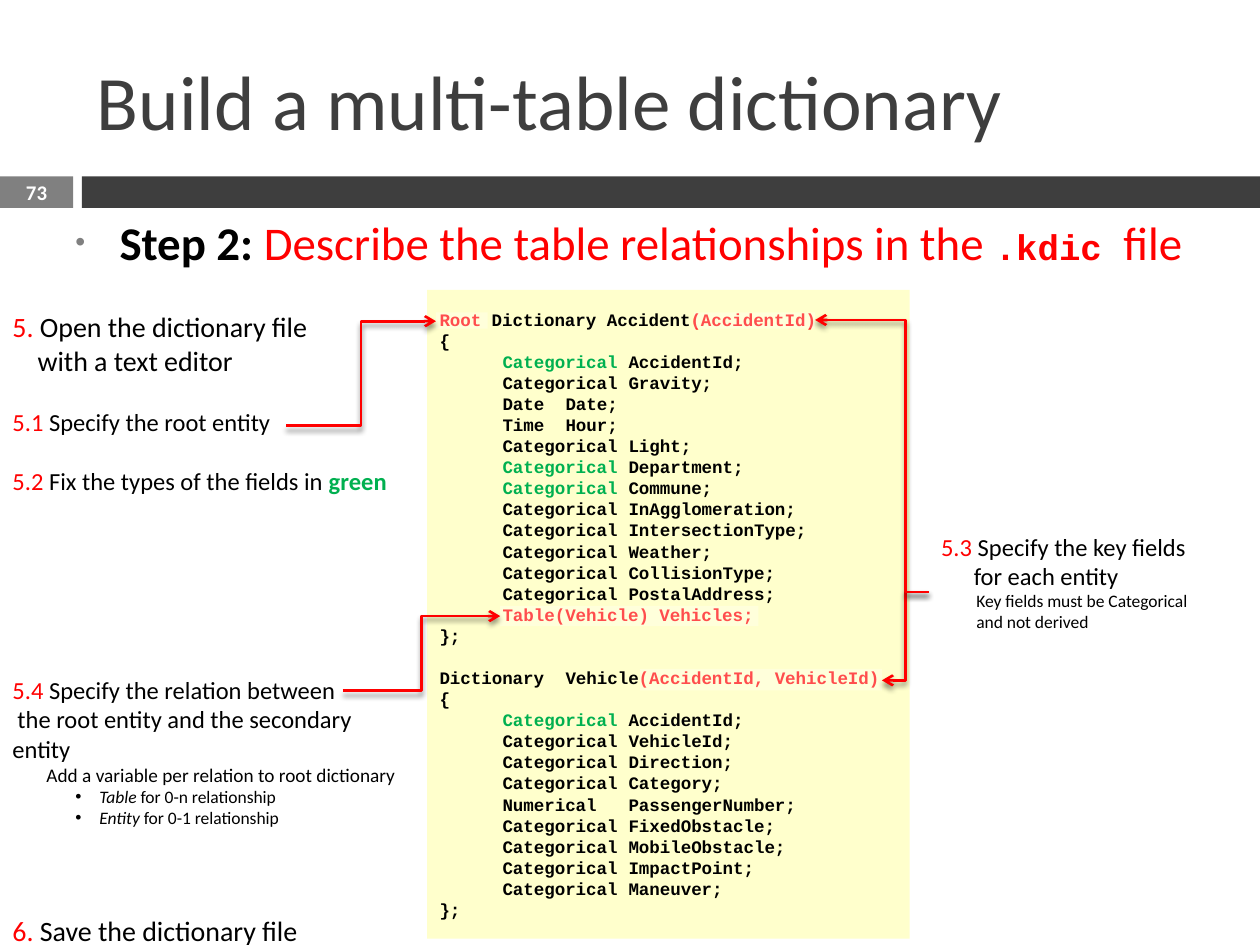
"""Build the slide that explains how to write a multi-table dictionary."""
from lxml import etree
from pptx import Presentation
from pptx import util as u
from pptx.dml.color import RGBColor
from pptx.enum import shapes, text
from pptx.oxml import parse_xml
from pptx.oxml.ns import nsdecls, qn

PX = 9144
HUE = {"red": "FF0000", "green": "00B050", "black": "000000", "grey": "808080",
       "dark": "3E3E3E", "white": "FFFFFF", "cream": "FFFFCC"}


def put(frame, runs, size, face="Calibri", left=0, first=0, gap=0, line=None,
        align=text.PP_ALIGN.LEFT, dot=None, tabs=()):
    para = frame.paragraphs[-1]
    if para.runs:
        para = frame.add_paragraph()
    para.alignment = align
    if gap:
        para.space_before = u.Pt(gap)
    if line:
        para.line_spacing = u.Pt(line)
    prop = para._p.get_or_add_pPr()
    prop.set("marL", str(left * PX))
    prop.set("indent", str(first * PX))
    if dot:
        tone, part = dot
        clr = etree.SubElement(prop, qn("a:buClr"))
        etree.SubElement(clr, qn("a:srgbClr"), val=HUE[tone])
        etree.SubElement(prop, qn("a:buSzPct"), val=str(part * 1000))
        etree.SubElement(prop, qn("a:buFont"), typeface="Arial")
        etree.SubElement(prop, qn("a:buChar"), char="•")
    if tabs:
        stops = etree.SubElement(prop, qn("a:tabLst"))
        for stop in tabs:
            etree.SubElement(stops, qn("a:tab"), pos=str(stop * PX), algn="l")
    for words, tone, *style in runs:
        run = para.add_run()
        run.text = words
        font = run.font
        font.name, font.size = face, u.Pt(size)
        font.color.rgb = RGBColor.from_string(HUE[tone])
        font.bold, font.italic = "b" in style, "i" in style
        if "code" in style:
            font.name, font.size = "Courier New", u.Pt(20.4)


def rect(place, tone):
    area = slide.shapes.add_shape(shapes.MSO_SHAPE.RECTANGLE, *[n * PX for n in place])
    area.shadow.inherit = False
    area.line.fill.background()
    area.fill.solid()
    area.fill.fore_color.rgb = RGBColor.from_string(HUE[tone])
    return area


deck = Presentation()
deck.slide_width, deck.slide_height = 1000 * PX, 750 * PX
slide = deck.slides.add_slide(deck.slide_layouts[6])

rect((0, 140, 58, 25), "grey")
rect((65, 140, 935, 25), "dark")
panel = rect((339, 230, 383, 515), "cream")

top, mid = text.MSO_ANCHOR.TOP, text.MSO_ANCHOR.MIDDLE
frames = {}
for name, place, anchor in [
    ("title", (67, 25, 892, 108), mid),
    ("page", (0, 139, 58, 27), mid),
    ("step", (50, 165, 939, 60), top),
    ("tasks", (0, 241, 339, 512), top),
    ("keys", (737, 417, 252, 104), top),
]:
    frame = slide.shapes.add_textbox(*[n * PX for n in place]).text_frame
    frame.word_wrap = True
    frame.vertical_anchor = anchor
    frames[name] = frame

put(frames["title"], [("Build a multi-table dictionary", "dark")], 44)
put(frames["page"], [("73", "white", "b")], 11.9, align=text.PP_ALIGN.CENTER)
put(frames["step"], [
    ("Step 2: ", "black", "b"),
    ("Describe the table relationships in the ", "red"),
    (".kdic ", "red", "b", "code"),
    ("file", "red"),
], 26.8, left=35, first=-35, dot=("grey", 60))

tasks = frames["tasks"]
put(tasks, [("5.", "red"), (" Open the dictionary file", "black")], 16)
put(tasks, [("with a text editor", "black")], 16, left=20)
put(tasks, [("5.1 ", "red"), ("Specify the root entity", "black")], 14, gap=17)
put(tasks, [("5.2", "red"), (" Fix the types of the fields in ", "black"),
            ("green", "green", "b")], 14, gap=17)
put(tasks, [("5.4 ", "red"), ("Specify the relation between", "black")], 14, gap=102.5)
put(tasks, [("the root entity and the secondary entity", "black")], 14, first=4)
put(tasks, [("Add a variable per relation to root dictionary", "black")], 11, left=27)
for kind, count in [("Table", "0-n"), ("Entity", "0-1")]:
    put(tasks, [(kind, "black", "i"), (f" for {count} relationship", "black")], 10,
        left=69, first=-19, dot=("black", 100))
put(tasks, [("6.", "red"), (" Save the dictionary file", "black")], 16, gap=49)

keys = frames["keys"]
put(keys, [("5.3 ", "red"), ("Specify the key fields", "black")], 14)
put(keys, [("for each entity", "black")], 14, left=26)
for words in ["Key fields must be Categorical", "and not derived"]:
    put(keys, [(words, "black")], 10, left=28)

tables = [
    ([("Root", "red", "b"), (" Dictionary Accident", "black", "b"),
      ("(AccidentId)", "red", "b")],
     ["Categorical AccidentId", "Categorical Gravity", "Date Date", "Time Hour",
      "Categorical Light", "Categorical Department", "Categorical Commune",
      "Categorical InAgglomeration", "Categorical IntersectionType",
      "Categorical Weather", "Categorical CollisionType", "Categorical PostalAddress"],
     [[("\tTable(Vehicle) Vehicles;", "red", "b")]]),
    ([("Dictionary\tVehicle", "black", "b"), ("(AccidentId, VehicleId)", "red", "b")],
     ["Categorical AccidentId", "Categorical VehicleId", "Categorical Direction",
      "Categorical Category", "Numerical PassengerNumber", "Categorical FixedObstacle",
      "Categorical MobileObstacle", "Categorical ImpactPoint", "Categorical Maneuver"],
     []),
]
fixed = {"AccidentId", "Department", "Commune"}
code = panel.text_frame
code.word_wrap = True
code.vertical_anchor = mid
look = {"size": 10, "face": "Courier New", "line": 12.05, "tabs": (50, 100, 150)}
for nth, (head, fields, links) in enumerate(tables):
    put(code, head, gap=12.05 * nth, **look)
    put(code, [("{", "black", "b")], **look)
    for field in fields:
        kind, name = field.split()
        tone = "green" if name in fixed else "black"
        put(code, [("\t" + kind, tone, "b"), (f"\t{name};", "black", "b")], **look)
    for link in links:
        put(code, link, **look)
    put(code, [("};", "black", "b")], **look)

for place in [(346, 248, 41, 13), (551, 248, 96, 13), (508, 531, 192, 17), (397, 481, 205, 16)]:
    veil = rect(place, "white")
    tint = veil.fill._xPr.find(".//" + qn("a:srgbClr"))
    etree.SubElement(tint, qn("a:alpha"), val="30000")

for ends, bend in [
    ((227, 338, 346, 255), 50000),
    ((737, 470, 700, 540), 50000),
    ((737, 470, 647, 254), 20300),
    ((272, 548, 397, 489), 50000),
]:
    wire = slide.shapes.add_connector(shapes.MSO_CONNECTOR.ELBOW, *[n * PX for n in ends])
    wire.line.color.rgb = RGBColor.from_string(HUE["red"])
    wire.line.width = u.Pt(1.5)
    etree.SubElement(wire.line._get_or_add_ln(), qn("a:tailEnd"), type="arrow")
    prop = wire._element.spPr
    guides = prop.find(qn("a:prstGeom")).get_or_add_avLst()
    etree.SubElement(guides, qn("a:gd"), name="adj1", fmla=f"val {bend}")
    prop.append(parse_xml(
        f'<a:effectLst {nsdecls("a")}><a:outerShdw blurRad="38100" dist="30480" dir="5400000" '
        f'rotWithShape="0"><a:srgbClr val="{HUE["black"]}"><a:alpha val="45000"/></a:srgbClr>'
        '</a:outerShdw></a:effectLst>'))

deck.save("out.pptx")
